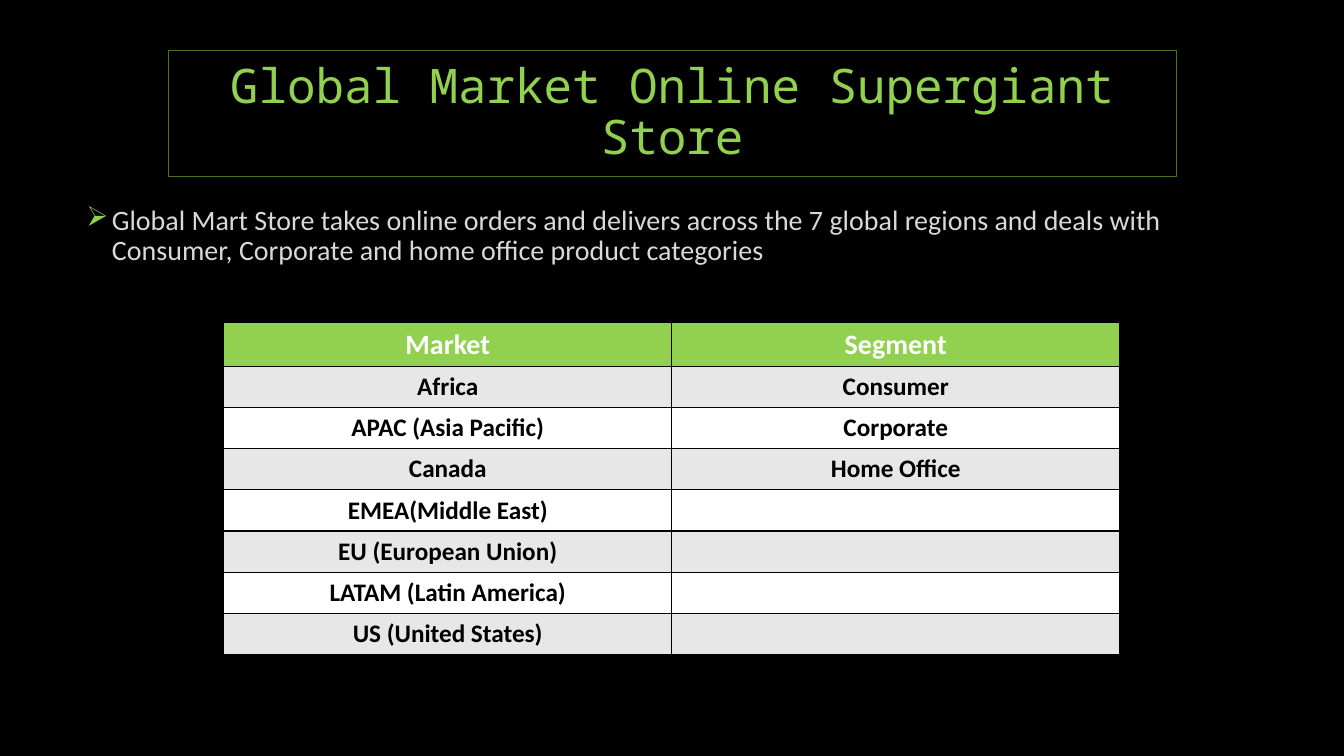
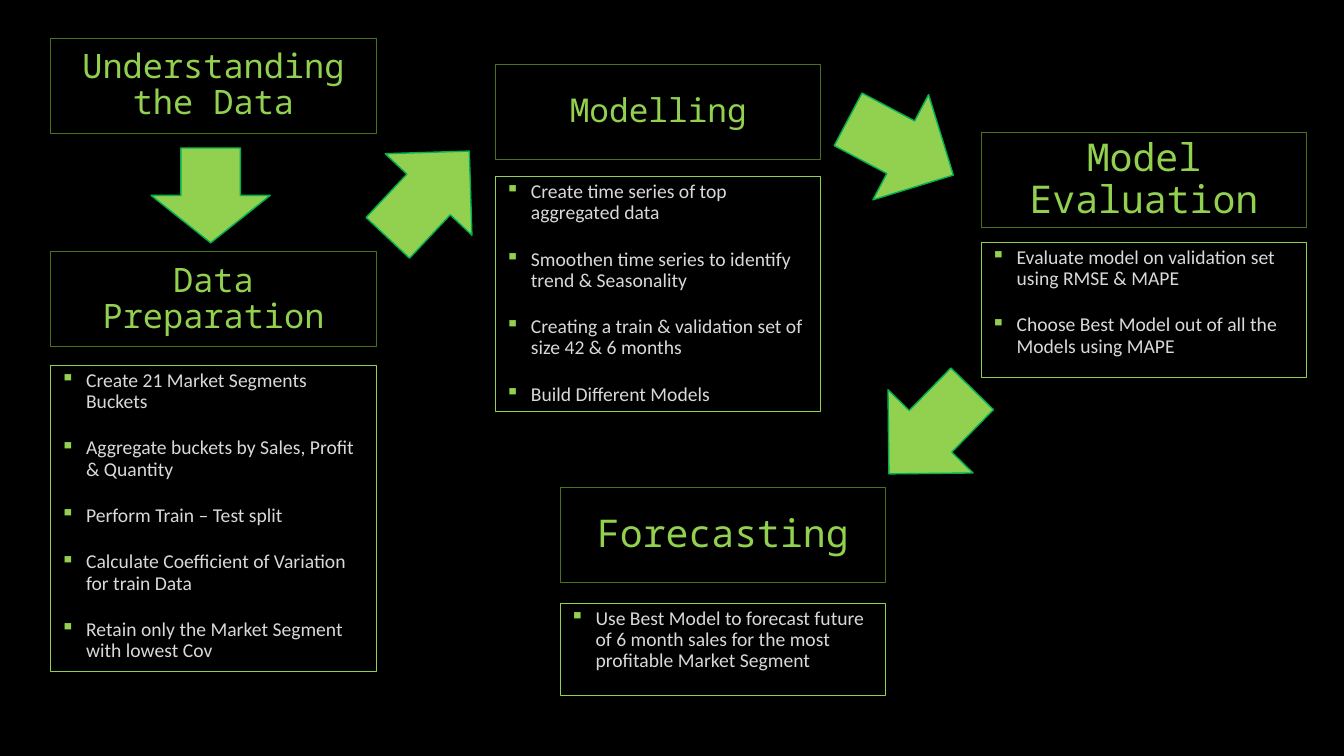
import dataclasses

import lxml.etree
import pptx
import pptx.dml.color
import pptx.enum.shapes
import pptx.enum.text
import pptx.oxml.ns
import pptx.util

Cm = pptx.util.Cm
Pt = pptx.util.Pt
qn = pptx.oxml.ns.qn


@dataclasses.dataclass(frozen=True)
class Theme:
    background: str = "000000"
    accent: str = "92D050"
    heading_line: str = "49721E"
    arrow_line: str = "00B050"
    body_text: str = "D9D9D9"
    header_text: str = "FFFFFF"
    cell_text: str = "000000"
    bands: tuple = ("E7E7E7", "FFFFFF")
    heading_font: str = "Noto Sans Mono"
    body_font: str = "Calibri"
    title_size: float = 34
    step_size: float = 24
    modelling_size: float = 23.4
    large_step_size: float = 27.3
    intro_size: float = 20
    bullet_size: float = 14
    header_size: float = 20
    cell_size: float = 18


@dataclasses.dataclass(frozen=True)
class Box:
    left: float
    top: float
    width: float
    height: float

    def lengths(self):
        return [Cm(value) for value in dataclasses.astuple(self)]


THEME = Theme()
STEP_WIDTH = 8.2
STEP_HEIGHT = 2.4

MARKETS = ["Africa", "APAC (Asia Pacific)", "Canada", "EMEA(Middle East)",
           "EU (European Union)", "LATAM (Latin America)", "US (United States)"]
SEGMENTS = ["Consumer", "Corporate", "Home Office"]

PREPARATION = [
    "Create 21 Market Segments Buckets",
    "Aggregate buckets by Sales, Profit & Quantity",
    "Perform Train – Test split",
    "Calculate Coefficient of Variation for train Data",
    "Retain only the Market Segment with lowest Cov",
]
MODELLING = [
    "Create time series of top aggregated data",
    "Smoothen time series to identify trend & Seasonality",
    "Creating a train & validation set of size 42 & 6 months",
    "Build Different Models",
]
EVALUATION = [
    "Evaluate model on validation set using RMSE & MAPE",
    "Choose Best Model out of all the Models using MAPE",
]
FORECASTING = ["Use Best Model to forecast future of 6 month sales "
               "for the most profitable Market Segment"]


def rgb(value):
    return pptx.dml.color.RGBColor.from_string(value)


def paint(shape, fill, line, width):
    if fill:
        shape.fill.solid()
        shape.fill.fore_color.rgb = rgb(fill)
    shape.line.color.rgb = rgb(line)
    shape.line.width = Pt(width)


def set_font(paragraph, name, size, color, bold=False):
    font = paragraph.font
    font.name = name
    font.size = Pt(size)
    font.color.rgb = rgb(color)
    font.bold = bold


def set_bullet(paragraph, symbol):
    properties = paragraph._p.get_or_add_pPr()
    properties.set("marL", str(Cm(0.64)))
    properties.set("indent", str(-Cm(0.64)))
    color = lxml.etree.SubElement(properties, qn("a:buClr"))
    lxml.etree.SubElement(color, qn("a:srgbClr"), val=THEME.accent)
    lxml.etree.SubElement(properties, qn("a:buChar"), char=symbol)


def set_borders(cell, color):
    properties = cell._tc.get_or_add_tcPr()
    for side in ("lnL", "lnR", "lnT", "lnB"):
        border = lxml.etree.SubElement(properties, qn(f"a:{side}"), w=str(Pt(1)))
        fill = lxml.etree.SubElement(border, qn("a:solidFill"))
        lxml.etree.SubElement(fill, qn("a:srgbClr"), val=color)


def format_heading(heading, box, text, size):
    heading.left, heading.top, heading.width, heading.height = box.lengths()
    paint(heading, THEME.background, THEME.heading_line, 0.75)
    frame = heading.text_frame
    frame.word_wrap = True
    frame.auto_size = pptx.enum.text.MSO_AUTO_SIZE.NONE
    frame.vertical_anchor = pptx.enum.text.MSO_ANCHOR.MIDDLE
    frame.text = text
    paragraph = frame.paragraphs[0]
    paragraph.alignment = pptx.enum.text.PP_ALIGN.CENTER
    paragraph.line_spacing = 0.9
    set_font(paragraph, THEME.heading_font, size, THEME.accent)


def add_bullets(slide, box, items, symbol, size, framed=True):
    bullets = slide.shapes.add_textbox(*box.lengths())
    if framed:
        paint(bullets, None, THEME.accent, 0.75)
    frame = bullets.text_frame
    frame.word_wrap = True
    frame.text = "\n".join(items)
    for paragraph in frame.paragraphs:
        paragraph.line_spacing = 0.9
        paragraph.space_before = Pt(18)
        set_bullet(paragraph, symbol)
        set_font(paragraph, THEME.body_font, size, THEME.body_text)


def add_market_table(slide, box):
    segments = SEGMENTS + [""] * (len(MARKETS) - len(SEGMENTS))
    rows = [("Market", "Segment"), *zip(MARKETS, segments)]
    table = slide.shapes.add_table(len(rows), 2, *box.lengths()).table
    table.first_row = table.horz_banding = False
    for row, texts in enumerate(rows):
        header = row == 0
        fill = THEME.accent if header else THEME.bands[(row - 1) % 2]
        color = THEME.header_text if header else THEME.cell_text
        size = THEME.header_size if header else THEME.cell_size
        for column, text in enumerate(texts):
            cell = table.cell(row, column)
            set_borders(cell, THEME.background)
            cell.fill.solid()
            cell.fill.fore_color.rgb = rgb(fill)
            cell.vertical_anchor = pptx.enum.text.MSO_ANCHOR.MIDDLE
            if not header:
                cell.margin_left = cell.margin_right = Cm(0.03)
                cell.margin_top = cell.margin_bottom = Cm(0.03)
            cell.text = text
            paragraph = cell.text_frame.paragraphs[0]
            paragraph.alignment = pptx.enum.text.PP_ALIGN.CENTER
            set_font(paragraph, THEME.body_font, size, color, bold=True)


def add_step(slide, left, top, text, size, items=(), gap=0.0, height=0.0, heading=None):
    box = Box(left, top, STEP_WIDTH, STEP_HEIGHT)
    if heading is None:
        heading = slide.shapes.add_shape(
            pptx.enum.shapes.MSO_SHAPE.RECTANGLE, *box.lengths())
        heading.shadow.inherit = False
    format_heading(heading, box, text, size)
    if items:
        bullet_box = Box(left, top + STEP_HEIGHT + gap, STEP_WIDTH, height)
        add_bullets(slide, bullet_box, items, "▪", THEME.bullet_size)


def add_arrow(slide, box, rotation=0):
    arrow = slide.shapes.add_shape(
        pptx.enum.shapes.MSO_SHAPE.DOWN_ARROW, *box.lengths())
    arrow.shadow.inherit = False
    arrow.rotation = rotation
    paint(arrow, THEME.accent, THEME.arrow_line, 1)


def build_market_slide(slide):
    format_heading(slide.shapes.title, Box(4.24, 1.27, 25.4, 3.18),
                   "Global Market Online Supergiant Store", THEME.title_size)
    intro = ("Global Mart Store takes online orders and delivers across the 7 global "
             "regions and deals with Consumer, Corporate and home office product categories")
    add_bullets(slide, Box(1.93, 5.08, 30, 2.06), [intro], "➢",
                THEME.intro_size, framed=False)
    add_market_table(slide, Box(5.64, 8.13, 22.58, 8.3))


def build_process_slide(slide):
    add_step(slide, 1.28, 0.96, "Understanding the Data", THEME.step_size)
    add_step(slide, 1.28, 6.34, "Data Preparation", THEME.step_size,
             PREPARATION, 0.47, 7.72, slide.shapes.title)
    add_step(slide, 12.49, 1.63, "Modelling", THEME.modelling_size,
             MODELLING, 0.42, 5.92)
    add_step(slide, 24.73, 3.34, "Model Evaluation", THEME.large_step_size,
             EVALUATION, 0.37, 3.4)
    add_step(slide, 14.12, 12.29, "Forecasting", THEME.large_step_size,
             FORECASTING, 0.52, 2.31)
    add_arrow(slide, Box(3.81, 3.73, 3, 2.39))
    for left, top, rotation in ((9.3, 3.4, 223.2), (21.2, 2.21, 297.9), (21.95, 9.37, 44.4)):
        add_arrow(slide, Box(left, top, 3, 3), rotation)


def main():
    deck = pptx.Presentation()
    deck.slide_width = Cm(33.87)
    deck.slide_height = Cm(19.05)
    backdrop = deck.slide_master.background.fill
    backdrop.solid()
    backdrop.fore_color.rgb = rgb(THEME.background)
    title_only = deck.slide_layouts[5]
    for build in (build_market_slide, build_process_slide):
        build(deck.slides.add_slide(title_only))
    deck.save("out.pptx")


if __name__ == "__main__":
    main()
